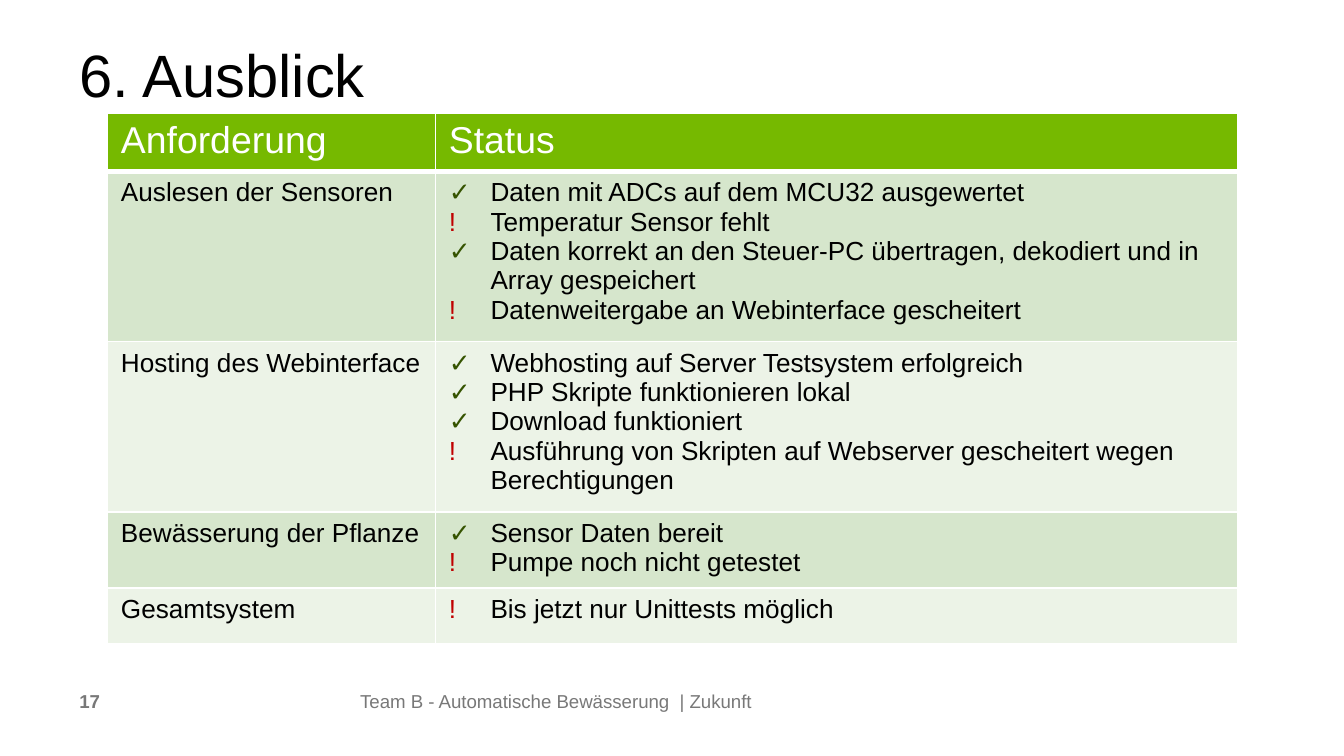
"""Build the outlook slide with the status of each project requirement."""
from lxml.etree import SubElement
from pptx import Presentation
from pptx.dml.color import RGBColor
from pptx.oxml.ns import qn
from pptx.util import Inches, Pt

BLACK = RGBColor(0x00, 0x00, 0x00)
WHITE = RGBColor(0xFF, 0xFF, 0xFF)
GREY = RGBColor(0x78, 0x78, 0x78)
GREEN = RGBColor(0x76, 0xB9, 0x00)
DARK_GREEN = RGBColor(0x35, 0x53, 0x00)
RED = RGBColor(0xC0, 0x00, 0x00)
BANDS = (RGBColor(0xD6, 0xE6, 0xCC), RGBColor(0xEC, 0xF3, 0xE7))

DONE, OPEN = "✓", "!"
MARK_COLORS = {DONE: DARK_GREEN, OPEN: RED}

REQUIREMENTS = [
    ("Auslesen der Sensoren", [
        (DONE, "Daten mit ADCs auf dem MCU32 ausgewertet"),
        (OPEN, "Temperatur Sensor fehlt"),
        (DONE, "Daten korrekt an den Steuer-PC übertragen, dekodiert und in Array gespeichert"),
        (OPEN, "Datenweitergabe an Webinterface gescheitert"),
    ]),
    ("Hosting des Webinterface", [
        (DONE, "Webhosting auf Server Testsystem erfolgreich"),
        (DONE, "PHP Skripte funktionieren lokal"),
        (DONE, "Download funktioniert"),
        (OPEN, "Ausführung von Skripten auf Webserver gescheitert wegen Berechtigungen"),
    ]),
    ("Bewässerung der Pflanze", [
        (DONE, "Sensor Daten bereit"),
        (OPEN, "Pumpe noch nicht getestet"),
    ]),
    ("Gesamtsystem", [(OPEN, "Bis jetzt nur Unittests möglich")]),
]


def write(paragraph, text, size=14, color=BLACK, bold=False, font="Arial", spacing=None):
    run = paragraph.add_run()
    run.text = text
    run.font.name = font
    run.font.size = Pt(size)
    run.font.bold = bold
    run.font.color.rgb = color
    if spacing:
        paragraph.line_spacing = Pt(spacing)


class SlideBuilder:
    font = "Arial"
    header_borders = {"lnL": 1, "lnR": 1, "lnT": 1, "lnB": 3}
    hanging = Inches(0.31)

    def __init__(self, slide):
        self.slide = slide

    def text(self, left, top, width, height, text, **style):
        box = self.slide.shapes.add_textbox(
            Inches(left), Inches(top), Inches(width), Inches(height))
        frame = box.text_frame
        frame.word_wrap = True
        frame.margin_left = frame.margin_top = 0
        frame.margin_right = frame.margin_bottom = 0
        write(frame.paragraphs[0], text, font=self.font, **style)

    def bullet(self, paragraph, mark):
        properties = paragraph._p.get_or_add_pPr()
        properties.set("marL", str(self.hanging))
        properties.set("indent", str(-self.hanging))
        color = SubElement(properties, qn("a:buClr"))
        SubElement(color, qn("a:srgbClr"), val=str(MARK_COLORS[mark]))
        SubElement(properties, qn("a:buFont"), typeface=self.font)
        SubElement(properties, qn("a:buChar"), char=mark)

    def borders(self, cell):
        properties = cell._tc.get_or_add_tcPr()
        for side, width in self.header_borders.items():
            line = SubElement(properties, qn(f"a:{side}"), w=str(Pt(width)))
            fill = SubElement(line, qn("a:solidFill"))
            SubElement(fill, qn("a:srgbClr"), val=str(WHITE))

    def cell(self, cell, entries, fill, **style):
        cell.fill.solid()
        cell.fill.fore_color.rgb = fill
        frame = cell.text_frame
        for index, (mark, text) in enumerate(entries):
            paragraph = frame.add_paragraph() if index else frame.paragraphs[0]
            if mark:
                self.bullet(paragraph, mark)
            write(paragraph, text, font=self.font, **style)

    def status_table(self, left, top, widths, height, row_height, headings, requirements):
        holder = self.slide.shapes.add_table(
            len(requirements) + 1, len(widths), Inches(left), Inches(top),
            Inches(sum(widths)), Inches(height))
        table = holder.table
        for column, width in zip(table.columns, widths):
            column.width = Inches(width)
        for row in table.rows:
            row.height = Inches(row_height)
        holder.height = Inches(height)
        for column, heading in enumerate(headings):
            header = table.cell(0, column)
            self.borders(header)
            self.cell(header, [(None, heading)], GREEN, size=20, color=WHITE)
        for index, (requirement, states) in enumerate(requirements):
            band = BANDS[index % len(BANDS)]
            self.cell(table.cell(index + 1, 0), [(None, requirement)], band)
            self.cell(table.cell(index + 1, 1), states, band)


def main():
    presentation = Presentation()
    presentation.slide_width = Inches(10)
    presentation.slide_height = presentation.slide_width * 9 // 16
    builder = SlideBuilder(presentation.slides.add_slide(presentation.slide_layouts[6]))
    builder.text(0.59, 0.34, 8.23, 0.48, "6. Ausblick", size=32, spacing=34)
    builder.text(0.59, 5.13, 1.41, 0.2, "17", size=10, color=GREY, bold=True)
    builder.text(2.68, 5.13, 6, 0.2, "Team B - Automatische Bewässerung  | Zukunft",
                 size=10, color=GREY)
    builder.status_table(0.8, 0.84, (2.44, 5.97), 3.94, 0.41,
                         ("Anforderung", "Status"), REQUIREMENTS)
    presentation.save("out.pptx")


if __name__ == "__main__":
    main()
